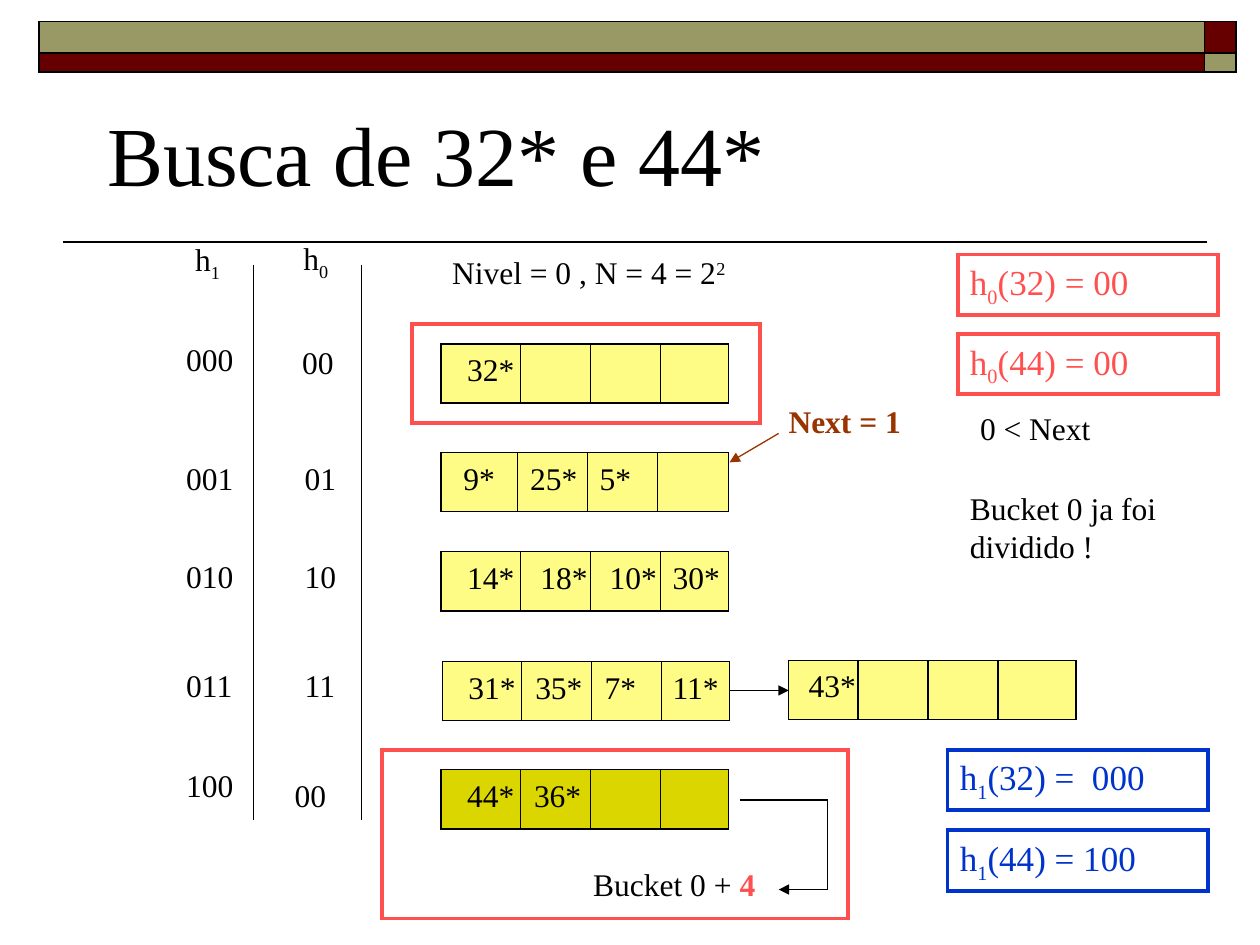
from lxml import etree
from pptx import Presentation
from pptx.dml.color import RGBColor
from pptx.enum import shapes, text
from pptx.oxml.ns import qn
from pptx.util import Inches, Pt

BLACK = RGBColor(0x00, 0x00, 0x00)
MAROON = RGBColor(0x66, 0x00, 0x00)
OLIVE = RGBColor(0x99, 0x99, 0x66)
RED = RGBColor(0xFF, 0x50, 0x50)
BLUE = RGBColor(0x00, 0x33, 0xCC)
BROWN = RGBColor(0x99, 0x33, 0x00)
YELLOW = RGBColor(0xFF, 0xFC, 0x85)
GOLD = RGBColor(0xDB, 0xD6, 0x00)
FONT = "Times New Roman"
SUB, SUPER = -25000, 30000

# Content: places are in inches
TITLE = "Busca de 32* e 44*"
BANDS = [  # left, top, width, height, fill
    (9.56, 0.17, 0.25, 0.25, MAROON),
    (0.31, 0.17, 9.25, 0.25, OLIVE),
    (0.31, 0.42, 9.25, 0.15, MAROON),
    (9.56, 0.42, 0.25, 0.15, OLIVE),
]
FRAMES = [(3.03, 5.95, 3.7, 1.34), (3.27, 2.57, 2.76, 0.79)]
BUCKETS = [  # left, top, fill, first divider, entries with their left edges
    (3.5, 2.73, YELLOW, 4.13, [("32*", 3.61)]),
    (3.5, 3.59, YELLOW, 4.11, [("9*", 3.58), ("25*", 4.11), ("5*", 4.66)]),
    (3.5, 4.38, YELLOW, 4.13,
     [("14*", 3.61), ("18*", 4.19), ("10*", 4.74), ("30*", 5.24)]),
    (3.51, 5.25, YELLOW, 4.14,
     [("31*", 3.62), ("35*", 4.15), ("7*", 4.7), ("11*", 5.24)]),
    (6.26, 5.24, YELLOW, 6.81, [("43*", 6.32)]),
    (3.5, 6.11, GOLD, 4.13, [("44*", 3.61), ("36*", 4.14)]),
]
BUCKET_WIDTH, BUCKET_HEIGHT, CELL = 2.28, 0.47, 0.555
H1_LEFT = 1.38
H1_KEYS = [("000", 2.65), ("001", 3.59), ("010", 4.37), ("011", 5.24), ("100", 6.03)]
H0_KEYS = [("00", 2.3, 2.67), ("01", 2.32, 3.59), ("10", 2.32, 4.37),
           ("11", 2.32, 5.24), ("00", 2.24, 6.11)]
KEY_WIDTHS = {2: 0.45, 3: 0.57}
# Labels: left, top, width, height, paragraphs of (text, baseline, colour, bold)
LABELS = [
    (3.49, 1.96, 2.37, 0.4,
     [[("Nivel = 0 , N = 4 = 2", 0, BLACK, False), ("2", SUPER, BLACK, False)]]),
    (2.31, 1.85, 0.4, 0.44, [[("h", 0, BLACK, False), ("0", SUB, BLACK, False)]]),
    (1.45, 1.86, 0.4, 0.44, [[("h", 0, BLACK, False), ("1", SUB, BLACK, False)]]),
    (6.16, 3.14, 1.09, 0.4, [[("Next = 1", 0, BROWN, True)]]),
    (7.68, 3.2, 1.07, 0.4, [[("0 < Next", 0, BLACK, False)]]),
    (7.6, 3.83, 1.74, 0.7, [[("Bucket 0 ja foi", 0, BLACK, False)],
                            [("dividido !", 0, BLACK, False)]]),
    (4.61, 6.82, 1.48, 0.4,
     [[("Bucket 0 + ", 0, BLACK, False), ("4", 0, RED, True)]]),
]
RESULTS = [  # left, top, colour, hash index, rest
    (7.6, 2.02, RED, "0", "(32) = 00"),
    (7.6, 2.65, RED, "0", "(44) = 00"),
    (7.52, 5.95, BLUE, "1", "(32) =  000"),
    (7.52, 6.59, BLUE, "1", "(44) = 100"),
]
LINES = [  # x1, y1, x2, y2, colour, arrowhead
    (2.01, 2.1, 2.01, 6.51, BLACK, False),
    (2.87, 2.1, 2.87, 6.51, BLACK, False),
    (5.79, 5.48, 6.26, 5.48, BLACK, True),
    (6.18, 3.44, 5.79, 3.67, BROWN, True),
    (5.87, 6.35, 6.57, 6.35, BLACK, False),
    (6.57, 6.35, 6.57, 7.06, BLACK, False),
    (6.57, 7.06, 6.18, 7.06, BLACK, True),
]

deck = Presentation()
deck.slide_width, deck.slide_height = Inches(10), Inches(7.5)
page = deck.slides.add_slide(deck.slide_layouts[5])


def add_rect(left, top, width, height, fill, line, weight):
    rect = page.shapes.add_shape(shapes.MSO_SHAPE.RECTANGLE, Inches(left),
                                 Inches(top), Inches(width), Inches(height))
    rect.shadow.inherit = False
    if fill is None:
        rect.fill.background()
    else:
        rect.fill.solid()
        rect.fill.fore_color.rgb = fill
    rect.line.color.rgb = line
    rect.line.width = Pt(weight)
    etree.SubElement(rect.line._get_or_add_ln(), qn("a:miter"), lim="800000")
    return rect


def add_line(x1, y1, x2, y2, color=BLACK, arrow=False, weight=0.75):
    line = page.shapes.add_connector(shapes.MSO_CONNECTOR.STRAIGHT, Inches(x1),
                                     Inches(y1), Inches(x2), Inches(y2))
    line.line.color.rgb = color
    line.line.width = Pt(weight)
    if arrow:
        etree.SubElement(line.line._get_or_add_ln(), qn("a:tailEnd"), type="triangle")
    etree.SubElement(line._element.spPr, qn("a:effectLst"))


def write(box, paragraphs, size=18):
    frame = box.text_frame
    frame.word_wrap = True
    frame.margin_right = 0  # keeps tight labels on one line
    frame.vertical_anchor = text.MSO_ANCHOR.TOP
    for index, spans in enumerate(paragraphs):
        para = frame.add_paragraph() if index else frame.paragraphs[0]
        para.alignment = text.PP_ALIGN.LEFT
        para.font.name = FONT
        para.font.size = Pt(size)
        for words, baseline, color, bold in spans:
            span = para.add_run()
            span.text = words
            span.font.color.rgb = color
            span.font.bold = bold
            if baseline:
                span.font._element.set("baseline", str(baseline))


def add_label(left, top, width, height, paragraphs):
    box = page.shapes.add_textbox(Inches(left), Inches(top),
                                  Inches(width), Inches(height))
    write(box, paragraphs)


def add_key(words, left, top):
    add_label(left, top, KEY_WIDTHS[len(words)], 0.4, [[(words, 0, BLACK, False)]])


# Header bands, rule and title
add_line(9.58, 1.92, 0.5, 1.92, weight=1)
for *place, fill in BANDS:
    add_rect(*place, fill, BLACK, 1)
title = page.shapes.title
title.left, title.top = Inches(0.75), Inches(0.76)
title.width, title.height = Inches(5.42), Inches(0.9)
write(title, [[(TITLE, 0, BLACK, False)]], size=48)

# Highlight frames
for place in FRAMES:
    add_rect(*place, None, RED, 2.25)

# Buckets with three dividers each
for left, top, fill, divider, entries in BUCKETS:
    add_rect(left, top, BUCKET_WIDTH, BUCKET_HEIGHT, fill, BLACK, 0.75)
    for step in range(3):
        x = divider + step * CELL
        add_line(x, top, x, top + BUCKET_HEIGHT)
    for words, entry_left in entries:
        add_key(words, entry_left, top)

# Hash key columns
for words, top in H1_KEYS:
    add_key(words, H1_LEFT, top)
for key in H0_KEYS:
    add_key(*key)

# Column rules and arrows
for line in LINES:
    add_line(*line)

# Labels and hash results
for label in LABELS:
    add_label(*label)
for left, top, color, index, rest in RESULTS:
    box = add_rect(left, top, 2.07, 0.48, None, color, 2.25)
    write(box, [[("h", 0, color, False), (index, SUB, color, False),
                 (rest, 0, color, False)]], size=20)

deck.save("out.pptx")
